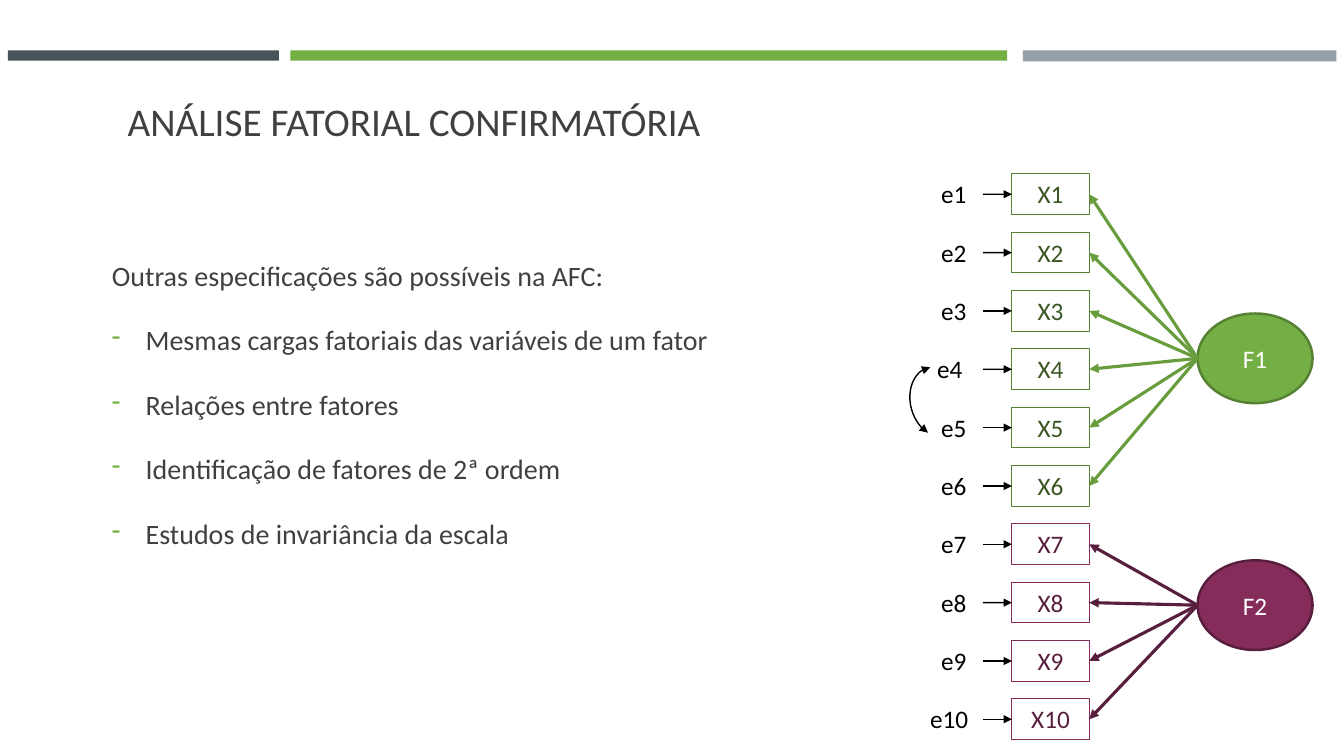
from lxml import etree
from pptx import Presentation, util as u
from pptx.dml.color import RGBColor
from pptx.enum import shapes, text
from pptx.oxml import ns

GREEN, PLUM = "74AF45", "852C5B"
DARK, BLACK, WHITE = "404040", "000000", "FFFFFF"


def paint(code):
    return RGBColor.from_string(code)


class Deck:
    font = "Calibri"

    def __init__(self, slide):
        self.shapes = slide.shapes

    def fill_in(self, frame, lines, size, color, align=text.PP_ALIGN.LEFT,
                anchor=text.MSO_ANCHOR.TOP):
        frame.text = lines
        frame.word_wrap = True
        frame.vertical_anchor = anchor
        for para in frame.paragraphs:
            para.alignment = align
            for run in para.runs:
                run.font.name = self.font
                run.font.size = u.Pt(size)
                run.font.color.rgb = paint(color)

    def label(self, area, lines, size, color, anchor=text.MSO_ANCHOR.TOP):
        frame = self.shapes.add_textbox(*map(u.Cm, area)).text_frame
        self.fill_in(frame, lines, size, color, anchor=anchor)
        return frame

    def shape(self, kind, area, fill=None, line=None, width=1.0):
        item = self.shapes.add_shape(kind, *map(u.Cm, area))
        item.shadow.inherit = False
        if fill:
            item.fill.solid()
            item.fill.fore_color.rgb = paint(fill)
        else:
            item.fill.background()
        if line:
            item.line.color.rgb = paint(line)
            item.line.width = u.Pt(width)
        else:
            item.line.fill.background()
        return item

    def node(self, kind, area, words, fill, line, width, color, anchor):
        item = self.shape(kind, area, fill, line, width)
        self.fill_in(item.text_frame, words, 18, color,
                     text.PP_ALIGN.CENTER, anchor)
        return item

    def tips(self, item, *ends):
        line = item._element.spPr.find(ns.qn("a:ln"))
        for end in ends:
            etree.SubElement(line, ns.qn(f"a:{end}"), type="triangle")

    def arrow(self, start, stop, color, width, end):
        item = self.shapes.add_connector(
            shapes.MSO_CONNECTOR.STRAIGHT, *map(u.Cm, start + stop))
        item.line.color.rgb = paint(color)
        item.line.width = u.Pt(width)
        self.tips(item, end)
        etree.SubElement(item._element.spPr, ns.qn("a:effectLst"))
        return item

    def dash(self, para):
        props = para._p.get_or_add_pPr()
        props.set("marL", str(u.Cm(0.85)))
        props.set("indent", str(u.Cm(-0.85)))
        tint = etree.SubElement(props, ns.qn("a:buClr"))
        etree.SubElement(tint, ns.qn("a:srgbClr"), val=GREEN)
        etree.SubElement(props, ns.qn("a:buSzPct"), val="92000")
        etree.SubElement(props, ns.qn("a:buChar"), char="-")


def main():
    show = Presentation()
    show.slide_width, show.slide_height = u.Cm(33.87), u.Cm(19.05)
    deck = Deck(show.slides.add_slide(show.slide_layouts[6]))
    kinds = shapes.MSO_SHAPE
    middle, top = text.MSO_ANCHOR.MIDDLE, text.MSO_ANCHOR.TOP

    for left, width, height, fill in ((0.2, 6.83, 0.26, "465359"),
                                      (25.78, 7.9, 0.28, "969FA7"),
                                      (7.32, 18.06, 0.26, GREEN)):
        deck.shape(kinds.RECTANGLE, (left, 1.27, width, height), fill)

    title = deck.label((2.97, 1.09, 27.94, 3.81),
                       "ANÁLISE FATORIAL CONFIRMATÓRIA", 28, DARK, middle)
    title.margin_top = u.Cm(0.25)

    points = ("Outras especificações são possíveis na AFC:",
              "Mesmas cargas fatoriais das variáveis de um fator",
              "Relações entre fatores",
              "Identificação de fatores de 2ª ordem",
              "Estudos de invariância da escala")
    body = deck.label((2.57, 5.11, 17.42, 13), "\n".join(points), 20, DARK,
                      middle)
    body.margin_bottom = u.Cm(3.4)
    for para in body.paragraphs:
        para.line_spacing = 1.5
        para.space_before = u.Pt(4)
        para.space_after = u.Pt(6)
    for para in body.paragraphs[1:]:
        deck.dash(para)

    left, first, pitch, wide, high = 25.5, 4.38, 1.47, 1.95, 1.03
    hub, round_w, round_h = 30.18, 2.9, 2.26
    nudged = {4: (23.37, 1.42), 10: (23.19, 1.85)}
    factors = (
        ("F1", 7.9, range(1, 7), GREEN, "568133", "578334", "3A5723", "689D3E"),
        ("F2", 14.12, range(7, 11), PLUM, "581E3D", PLUM, "581E3D", "581E3D"),
    )
    for name, y, items, fill, rim, edge, ink, ray in factors:
        deck.node(kinds.OVAL, (hub, y, round_w, round_h), name,
                  fill, rim, 1.75, WHITE, middle)
        for num in items:
            row = first + pitch * (num - 1)
            mid = row + high / 2
            box = deck.node(kinds.RECTANGLE, (left, row, wide, high),
                            f"X{num}", WHITE, edge, 0.75, ink, top)
            load = deck.arrow((left + wide, mid), (hub, y + round_h / 2),
                              ray, 2.25, "headEnd")
            load.begin_connect(box, 3)
            x, width = nudged.get(num, (23.47, 1.22))
            deck.label((x, row, width, high), f"e{num}", 18, BLACK)
            error = deck.arrow((24.77, mid), (left, mid), BLACK, 1, "tailEnd")
            error.end_connect(box, 1)

    curve = deck.shape(kinds.ARC, (22.73, 9.45, 1.78, 1.35), line=BLACK)
    curve.rotation = 255.2
    curve.adjustments[0], curve.adjustments[1] = 126.86, 1.97
    deck.tips(curve, "headEnd", "tailEnd")

    show.save("out.pptx")


if __name__ == "__main__":
    main()
